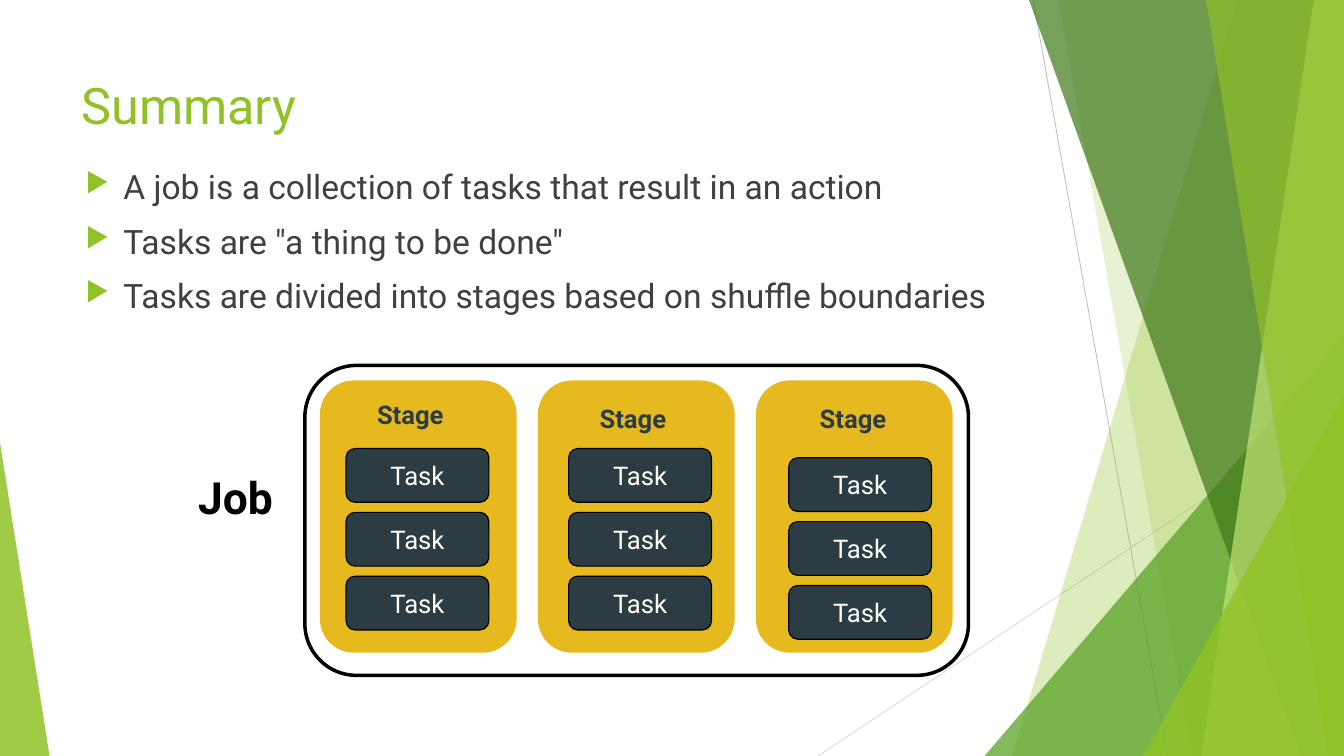
from lxml.etree import SubElement
from pptx import Presentation
from pptx.dml.color import RGBColor
from pptx.enum.shapes import MSO_CONNECTOR, MSO_SHAPE
from pptx.enum.text import MSO_ANCHOR, MSO_AUTO_SIZE, PP_ALIGN
from pptx.oxml.ns import qn
from pptx.util import Inches, Pt

GREEN, GOLD, SLATE, BLACK = "90C226", "E6B91E", "2C3C43", "000000"


def color(hex_code):
    return RGBColor.from_string(hex_code)


def add_bullet(paragraph):
    properties = paragraph._p.get_or_add_pPr()
    properties.set("marL", str(Inches(0.45)))
    properties.set("indent", str(-Inches(0.45)))
    tint = SubElement(properties, qn("a:buClr"))
    SubElement(tint, qn("a:srgbClr"), val=GREEN)
    SubElement(properties, qn("a:buSzPct"), val="80000")
    SubElement(properties, qn("a:buChar"), char="▶")


def write(shape, text, size, ink, bold=False, align=PP_ALIGN.LEFT,
          anchor=MSO_ANCHOR.TOP, insets=(0.1, 0.1), bullets=False, gap=0):
    frame = shape.text_frame
    frame.word_wrap = True
    frame.auto_size = MSO_AUTO_SIZE.NONE
    frame.vertical_anchor = anchor
    frame.margin_left = frame.margin_right = Inches(insets[0])
    frame.margin_top = frame.margin_bottom = Inches(insets[1])
    frame.text = text
    for index, paragraph in enumerate(frame.paragraphs):
        paragraph.alignment = align
        paragraph.space_before = Pt(gap if index else 0)
        if bullets:
            add_bullet(paragraph)
        font = paragraph.font
        font.name, font.size, font.bold = "Roboto", Pt(size), bold
        font.color.rgb = color(ink)


class SummarySlide:
    """Draws styled elements on the current slide."""

    def __init__(self, deck):
        self.slide = deck.slides.add_slide(deck.slide_layouts[5])
        self.shapes = self.slide.shapes

    def title(self, text, *box):
        heading = self.shapes.title
        heading.left, heading.top, heading.width, heading.height = map(Inches, box)
        write(heading, text, 43.2, GREEN, insets=(0.08, 0.08))

    def text(self, text, box, size, ink, **style):
        write(self.shapes.add_textbox(*map(Inches, box)), text, size, ink, **style)

    def paint(self, shape, fill=None, alpha=100, line=None, width=1):
        shape.shadow.inherit = False
        if fill:
            shape.fill.solid()
            shape.fill.fore_color.rgb = color(fill)
            if alpha < 100:
                tint = shape.fill._xPr.find(qn("a:solidFill"))[0]
                SubElement(tint, qn("a:alpha"), val=str(alpha * 1000))
        else:
            shape.fill.background()
        if line:
            shape.line.color.rgb = color(line)
            shape.line.width = Pt(width)
        else:
            shape.line.fill.background()

    def panel(self, *box, **style):
        panel = self.shapes.add_shape(MSO_SHAPE.ROUNDED_RECTANGLE, *map(Inches, box))
        self.paint(panel, **style)
        return panel

    def triangle(self, box, apex, fill, alpha):
        triangle = self.shapes.add_shape(MSO_SHAPE.ISOSCELES_TRIANGLE, *map(Inches, box))
        triangle.adjustments[0] = apex
        self.paint(triangle, fill, alpha)

    def ribbon(self, top_left, bottom_left, fill, alpha):
        outline = self.shapes.build_freeform(Inches(top_left), 0)
        corners = [(16, 0), (16, 9), (bottom_left, 9)]
        outline.add_line_segments([(Inches(x), Inches(y)) for x, y in corners])
        self.paint(outline.convert_to_shape(), fill, alpha)

    def ray(self, start, end, ink):
        ray = self.shapes.add_connector(MSO_CONNECTOR.STRAIGHT, *map(Inches, start + end))
        ray.line.color.rgb = color(ink)
        ray.line.width = Pt(0.75)
        SubElement(ray._element.spPr, qn("a:effectLst"))

    def stage(self, label_left, label_top, task_left, first_task_top):
        self.text("Stage", (label_left, label_top, 1.2, 1.2), 22, SLATE, bold=True)
        for row in range(3):
            task = self.panel(task_left, first_task_top + 0.76 * row, 1.7, 0.64,
                              fill=SLATE, line=BLACK)
            write(task, "Task", 22, "FFFFFF", align=PP_ALIGN.CENTER,
                  anchor=MSO_ANCHOR.MIDDLE, insets=(0.12, 0.12))


def main():
    deck = Presentation()
    deck.slide_width, deck.slide_height = Inches(16), Inches(9)
    summary = SummarySlide(deck)

    summary.ray((12.3, 0), (13.9, 9), "BFBFBF")
    summary.ray((16, 4.83), (9.74, 9), "D9D9D9")
    summary.ribbon(14.73, 12.05, GREEN, 30)
    summary.ribbon(12.6, 14.19, GREEN, 20)
    summary.triangle((11.72, 4, 4.28, 5), 1, "54A021", 72)
    summary.ribbon(12.25, 15.49, "3F7819", 70)
    summary.ribbon(15.64, 14.3, "C0E474", 70)
    summary.ribbon(14.36, 15.81, GREEN, 65)
    summary.triangle((13.61, 4.71, 2.39, 4.29), 1, GREEN, 80)
    summary.triangle((0, 5.27, 0.59, 3.73), 0, GREEN, 85)

    summary.title("Summary", 0.89, 0.8, 11.28, 1)
    points = [
        "A job is a collection of tasks that result in an action",
        'Tasks are "a thing to be done"',
        "Tasks are divided into stages based on shuffle boundaries",
    ]
    summary.text("\n".join(points), (0.92, 1.92, 11.3, 1.98), 28.8, "404040",
                 insets=(0.1, 0.06), bullets=True, gap=12)

    summary.panel(3.63, 4.35, 7.9, 3.69, line=BLACK, width=3)
    for column in range(3):
        summary.panel(3.83 + 2.595 * column, 4.55, 2.3, 3.2,
                      fill=GOLD, line=GOLD, width=3)
    for stage in [(4.39, 4.65, 4.12, 5.34),
                  (7.04, 4.69, 6.77, 5.34),
                  (9.66, 4.7, 9.39, 5.45)]:
        summary.stage(*stage)
    summary.text("Job", (2.26, 5.5, 1.2, 1.2), 38, BLACK, bold=True)
    deck.save("out.pptx")


if __name__ == "__main__":
    main()
